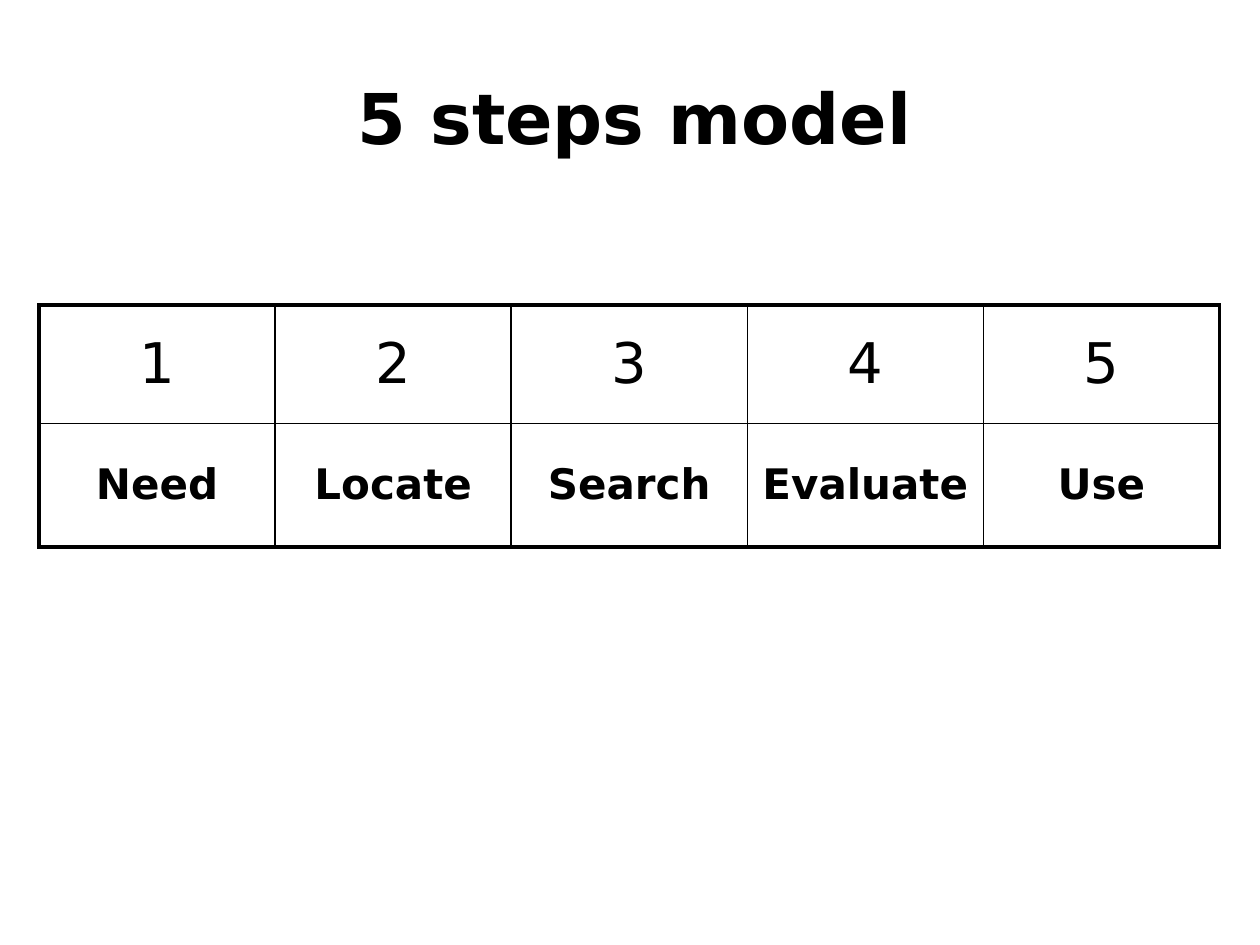
from lxml import etree
from pptx import Presentation, util as u
from pptx.dml.color import RGBColor
from pptx.enum import text
from pptx.oxml.ns import qn

FONT = "DejaVu Sans"
BLACK = "000000"
WHITE = "FFFFFF"
STEPS = ["Need", "Locate", "Search", "Evaluate", "Use"]


def color(value):
    """Turn a hex string into a colour."""
    return RGBColor.from_string(value)


def write(frame, words, size, bold):
    """Write one centred paragraph into a text frame."""
    para = frame.paragraphs[0]
    para.text = words
    para.alignment = text.PP_ALIGN.CENTER
    para.font.name = FONT
    para.font.size = u.Pt(size)
    para.font.bold = bold
    para.font.color.rgb = color(BLACK)


def add_border(cell, side, points):
    """Draw one border of a cell; sides go in the order L, R, T, B."""
    props = cell._tc.get_or_add_tcPr()
    line = etree.SubElement(props, qn(f"a:ln{side}"), w=str(u.Pt(points)))
    fill = etree.SubElement(line, qn("a:solidFill"))
    etree.SubElement(fill, qn("a:srgbClr"), val=BLACK)


def add_title(page, left, top, width, height, words):
    """Place the slide heading in its box."""
    box = page.shapes.add_textbox(left, top, width, height)
    frame = box.text_frame
    frame.word_wrap = True
    frame.vertical_anchor = text.MSO_ANCHOR.MIDDLE
    write(frame, words, 40, True)


def add_steps(page, left, top, width, heights, steps):
    """Place the table of numbered steps with a heavier outer frame."""
    count = len(steps)
    table = page.shapes.add_table(2, count, left, top, width, sum(heights)).table
    table.first_row = table.horz_banding = False
    for column in table.columns:
        column.width = width // count
    numbers = [str(number) for number in range(1, count + 1)]
    styles = [(numbers, 32, False), (steps, 24, True)]
    for row, (words, size, bold) in enumerate(styles):
        table.rows[row].height = heights[row]
        for col, word in enumerate(words):
            cell = table.cell(row, col)
            outer = {"L": col == 0, "R": col == count - 1, "T": row == 0, "B": row == 1}
            for side, is_outer in outer.items():
                add_border(cell, side, 2.25 if is_outer else 1)
            cell.fill.background()
            cell.vertical_anchor = text.MSO_ANCHOR.MIDDLE
            write(cell.text_frame, word, size, bold)


def main():
    """Build the slide and save it."""
    deck = Presentation()
    deck.slide_width, deck.slide_height = u.Inches(10), u.Inches(7.5)
    page = deck.slides.add_slide(deck.slide_layouts[6])
    page.background.fill.solid()
    page.background.fill.fore_color.rgb = color(WHITE)
    add_title(page, u.Inches(2.32), u.Inches(0.3), u.Inches(5.43), u.Inches(1.25),
              "5 steps model")
    add_steps(page, u.Inches(0.31), u.Inches(2.42), u.Inches(9.37),
              [u.Inches(0.94), u.Inches(0.98)], STEPS)
    deck.save("out.pptx")


if __name__ == "__main__":
    main()
